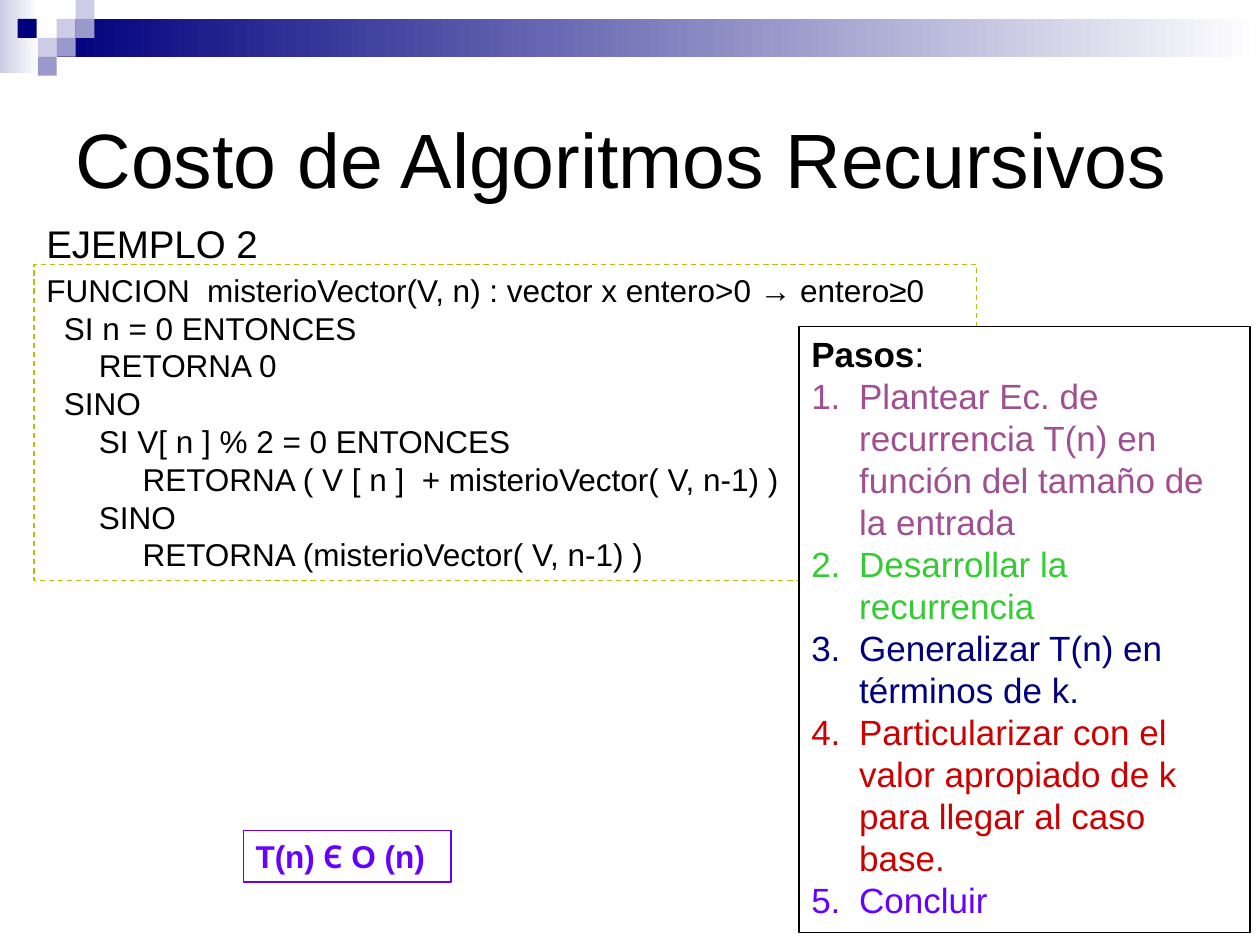
import pptx
import pptx.util
import pptx.dml.color
import pptx.enum.dml
import pptx.enum.shapes
import pptx.enum.text
import pptx.oxml.xmlchemy

Inches = pptx.util.Inches
Pt = pptx.util.Pt
RGBColor = pptx.dml.color.RGBColor

BLACK = RGBColor(0x00, 0x00, 0x00)
WHITE = RGBColor(0xFF, 0xFF, 0xFF)
NAVY = RGBColor(0x00, 0x00, 0x7D)
LAVENDER = RGBColor(0xCC, 0xCC, 0xE6)
PERIWINKLE = RGBColor(0x99, 0x99, 0xCC)
OLIVE = RGBColor(0xB9, 0xBD, 0x0F)
PLUM = RGBColor(0xA0, 0x50, 0x91)
GREEN = RGBColor(0x33, 0xCC, 0x33)
RED = RGBColor(0xCC, 0x00, 0x00)
VIOLET = RGBColor(0x66, 0x00, 0xFF)

FONT = "Arial"
SYMBOL_FONT = "Noto Sans Mono"
LINE_FACTOR = 1.2
HANGING = Inches(0.38)

GRADIENTS = [
    (0, 0, 0.31, 0.58, LAVENDER),
    (0.45, 0.15, 9.55, 0.3, NAVY),
]
SQUARE = 0.15
SQUARES = [
    (0.45, 0.15, LAVENDER),
    (0.6, 0, LAVENDER),
    (0.6, 0.15, PERIWINKLE),
    (0.3, 0.3, LAVENDER),
    (0.14, 0.15, NAVY),
    (0.45, 0.3, PERIWINKLE),
    (0.3, 0.45, PERIWINKLE),
]
CODE = [
    "FUNCION  misterioVector(V, n) : vector x entero>0 → entero≥0",
    "  SI n = 0 ENTONCES",
    "      RETORNA 0",
    "  SINO",
    "      SI V[ n ] % 2 = 0 ENTONCES",
    "           RETORNA ( V [ n ]  + misterioVector( V, n-1) )",
    "      SINO",
    "           RETORNA (misterioVector( V, n-1) )",
]
STEPS = [
    ("Plantear Ec. de recurrencia T(n) en función del tamaño de la entrada", PLUM),
    ("Desarrollar la recurrencia", GREEN),
    ("Generalizar T(n) en términos de k.", NAVY),
    ("Particularizar con el valor apropiado de k para llegar al caso base.", RED),
    ("Concluir", VIOLET),
]


def add_rectangle(page, left, top, width, height):
    box = page.shapes.add_shape(
        pptx.enum.shapes.MSO_SHAPE.RECTANGLE,
        Inches(left), Inches(top), Inches(width), Inches(height))
    box.shadow.inherit = False
    box.fill.background()
    box.line.fill.background()
    return box


def fill_solid(box, color):
    box.fill.solid()
    box.fill.fore_color.rgb = color


def fill_fade(box, color):
    box.fill.gradient()
    box.fill.gradient_angle = 0
    for stop, stop_color in zip(box.fill.gradient_stops, (color, WHITE)):
        stop.color.rgb = stop_color


def outline(box, color):
    box.line.color.rgb = color
    box.line.width = Pt(0.75)


def prepare_text(box):
    frame = box.text_frame
    frame.word_wrap = True
    frame.auto_size = pptx.enum.text.MSO_AUTO_SIZE.SHAPE_TO_FIT_TEXT
    frame.vertical_anchor = pptx.enum.text.MSO_ANCHOR.TOP
    return frame


def add_span(para, text, size, color=BLACK, bold=False, font=FONT):
    span = para.add_run()
    span.text = text
    span.font.name = font
    span.font.size = Pt(size)
    span.font.bold = bold
    span.font.color.rgb = color


def add_para(frame, size):
    """Return the empty first paragraph, or a new one after the others."""
    para = frame.paragraphs[0]
    if para.runs:
        para = frame.add_paragraph()
    para.alignment = pptx.enum.text.PP_ALIGN.LEFT
    para.line_spacing = Pt(LINE_FACTOR * size)
    return para


def hang(para, numbered):
    properties = para._p.get_or_add_pPr()
    properties.set("marL", str(HANGING))
    properties.set("indent", str(-HANGING))
    if numbered:
        number = pptx.oxml.xmlchemy.OxmlElement("a:buAutoNum")
        number.set("type", "arabicPeriod")
        properties.append(number)


def add_decoration(page):
    for left, top, width, height, color in GRADIENTS:
        fill_fade(add_rectangle(page, left, top, width, height), color)
    for left, top, color in SQUARES:
        fill_solid(add_rectangle(page, left, top, SQUARE, SQUARE), color)


def add_title(page, text):
    title = page.shapes.title
    title.left, title.top = Inches(0.5), Inches(0.5)
    title.width, title.height = Inches(9), Inches(1.5)
    title.text_frame.vertical_anchor = pptx.enum.text.MSO_ANCHOR.MIDDLE
    para = title.text_frame.paragraphs[0]
    para.alignment = pptx.enum.text.PP_ALIGN.LEFT
    add_span(para, text, 44)


def add_code(page):
    box = add_rectangle(page, 0.27, 2.1, 7.48, 2.51)
    outline(box, OLIVE)
    box.line.dash_style = pptx.enum.dml.MSO_LINE.DASH
    frame = prepare_text(box)
    for line in CODE:
        add_span(add_para(frame, 18), line, 18)


def add_heading(page, text):
    box = page.shapes.add_textbox(Inches(0.27), Inches(1.7), Inches(1.97), Inches(0.47))
    add_span(add_para(prepare_text(box), 22), text, 22)


def add_steps(page):
    box = add_rectangle(page, 6.34, 2.59, 3.58, 4.81)
    fill_solid(box, WHITE)
    outline(box, BLACK)
    frame = prepare_text(box)
    para = add_para(frame, 20)
    hang(para, numbered=False)
    add_span(para, "Pasos", 20, bold=True)
    add_span(para, ":", 20)
    for text, color in STEPS:
        para = add_para(frame, 20)
        hang(para, numbered=True)
        add_span(para, text, 20, color)


def add_result(page):
    box = add_rectangle(page, 1.93, 6.59, 1.65, 0.41)
    outline(box, VIOLET)
    para = add_para(prepare_text(box), 18)
    for text, font in (("T(n) ", FONT), ("Є", SYMBOL_FONT), (" O (n)", FONT)):
        add_span(para, text, 18, VIOLET, True, font)


def main():
    deck = pptx.Presentation()
    deck.slide_width, deck.slide_height = Inches(10), Inches(7.5)
    page = deck.slides.add_slide(deck.slide_layouts[5])
    # Corner squares and top band
    add_decoration(page)
    # Title and algorithm
    add_title(page, "Costo de Algoritmos Recursivos")
    add_code(page)
    add_heading(page, "EJEMPLO 2")
    # Steps and conclusion
    add_steps(page)
    add_result(page)
    deck.save("out.pptx")


if __name__ == "__main__":
    main()
